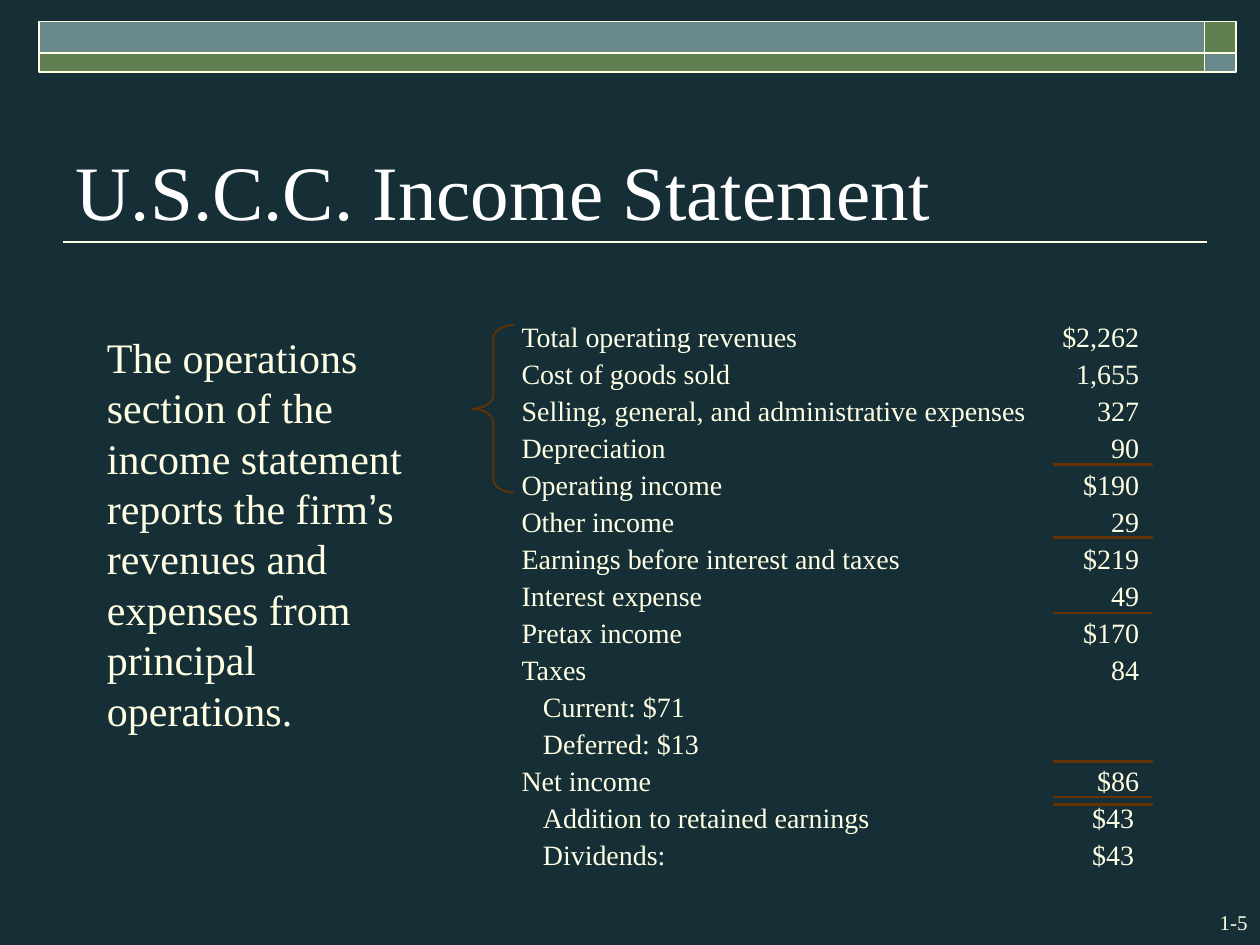
from dataclasses import dataclass

from lxml.etree import SubElement
from pptx import Presentation
from pptx.dml.color import RGBColor
from pptx.enum.shapes import MSO_CONNECTOR as CONN, MSO_SHAPE as SHAPE
from pptx.enum.text import MSO_ANCHOR as ANCHOR, PP_ALIGN as ALIGN
from pptx.oxml.ns import qn
from pptx.util import Inches, Pt


@dataclass(frozen=True)
class Theme:
    bg: str = "162E36"
    teal: str = "69888B"
    green: str = "618052"
    cream: str = "FFFFE3"
    white: str = "FFFFFF"
    brown: str = "663300"
    black: str = "000000"
    font: str = "Times New Roman"
    quote_font: str = "Arial"
    title: int = 44
    body: int = 24
    row: int = 16
    number: int = 12


THEME = Theme()

# Label, amount, indented
ROWS = [
    ("Total operating revenues", "$2,262", False),
    ("Cost of goods sold", "1,655", False),
    ("Selling, general, and administrative expenses", "327", False),
    ("Depreciation", "90", False),
    ("Operating income", "$190", False),
    ("Other income", "29", False),
    ("Earnings before interest and taxes", "$219", False),
    ("Interest expense", "49", False),
    ("Pretax income", "$170", False),
    ("Taxes", "84", False),
    ("Current: $71", "", True),
    ("Deferred: $13", "", True),
    ("Net income", "$86", False),
    ("Addition to retained earnings", "$43", True),
    ("Dividends:", "$43", True),
]
ROW_TOP, ROW_STEP, ROW_HEIGHT = 2.54, 4.11 / 14, 0.27
LABEL_LEFT, AMOUNT_RIGHT, INDENT = 4.14, 9.04, 0.17
RULE_TOPS = [3.68, 4.26, 4.86, 6.04, 6.32, 6.38]


def rgb(value):
    return RGBColor.from_string(value)


def add_text(slide, text, left, top, width, height, *, size, color=THEME.cream,
             align=ALIGN.LEFT, anchor=ANCHOR.TOP, inset=(0, 0), before=0):
    """Add a text box; text is a string or a list of (text, font) runs."""
    sp = slide.shapes.add_textbox(Inches(left), Inches(top), Inches(width), Inches(height))
    tf = sp.text_frame
    tf.word_wrap = True
    tf.vertical_anchor = anchor
    tf.margin_left = tf.margin_right = Inches(inset[0])
    tf.margin_top = tf.margin_bottom = Inches(inset[1])
    p = tf.paragraphs[0]
    p.alignment = align
    p.space_before = Pt(before)
    for part, font in [(text, THEME.font)] if isinstance(text, str) else text:
        r = p.add_run()
        r.text = part
        r.font.name = font
        r.font.size = Pt(size)
        r.font.color.rgb = rgb(color)
    return sp


def add_shape(slide, kind, left, top, width, height, *, fill, line, weight=1):
    sp = slide.shapes.add_shape(kind, Inches(left), Inches(top), Inches(width), Inches(height))
    sp.shadow.inherit = False
    if fill:
        sp.fill.solid()
        sp.fill.fore_color.rgb = rgb(fill)
    else:
        sp.fill.background()
    sp.line.color.rgb = rgb(line)
    sp.line.width = Pt(weight)
    return sp


def add_line(slide, x1, y1, x2, y2, *, color, weight=1):
    line = slide.shapes.add_connector(CONN.STRAIGHT, Inches(x1), Inches(y1),
                                      Inches(x2), Inches(y2))
    line.line.color.rgb = rgb(color)
    line.line.width = Pt(weight)
    SubElement(line._element.spPr, qn("a:effectLst"))
    return line


def add_banner(slide):
    columns = [(0.31, 9.25), (9.56, 0.25)]
    bands = [(0.17, 0.25), (0.42, 0.15)]
    fills = [THEME.teal, THEME.green]
    for i, (top, height) in enumerate(bands):
        for j, (left, width) in enumerate(columns):
            add_shape(slide, SHAPE.RECTANGLE, left, top, width, height,
                      fill=fills[(i + j) % 2], line=THEME.cream)


def add_statement(slide):
    for i, (label, amount, indented) in enumerate(ROWS):
        top = ROW_TOP + i * ROW_STEP
        left = LABEL_LEFT + (INDENT if indented else 0)
        add_text(slide, label, left, top, 4.1, ROW_HEIGHT, size=THEME.row)
        if amount:
            right = AMOUNT_RIGHT - (0.04 if indented else 0)
            add_text(slide, amount, right - 0.7, top, 0.7, ROW_HEIGHT,
                     size=THEME.row, align=ALIGN.RIGHT)
    # Subtotal rules, doubled under net income
    for top in RULE_TOPS:
        add_shape(slide, SHAPE.RECTANGLE, 8.36, top, 0.79, 0.01,
                  fill=THEME.black, line=THEME.brown, weight=0.75)


def main():
    prs = Presentation()
    prs.slide_width, prs.slide_height = Inches(10), Inches(7.5)
    slide = prs.slides.add_slide(prs.slide_layouts[6])
    slide.background.fill.solid()
    slide.background.fill.fore_color.rgb = rgb(THEME.bg)

    # Header and slide number
    add_banner(slide)
    add_line(slide, 0.5, 1.92, 9.58, 1.92, color=THEME.cream)
    add_text(slide, "U.S.C.C. Income Statement", 0.5, 0.67, 9.15, 1.25, size=THEME.title,
             color=THEME.white, anchor=ANCHOR.BOTTOM, inset=(0.1, 0.05))
    add_text(slide, "1-5", 9.17, 7.17, 0.83, 0.3, size=THEME.number,
             align=ALIGN.RIGHT, inset=(0.1, 0.05))

    # Explanation and the brace around the operations section
    add_text(slide, [("The operations section of the income statement reports the firm", THEME.font),
                     ("’", THEME.quote_font),
                     ("s revenues and expenses from principal operations.", THEME.font)],
             0.75, 2.58, 2.75, 3.3, size=THEME.body, inset=(0.1, 0.05), before=15)
    brace = add_shape(slide, SHAPE.LEFT_BRACE, 3.75, 2.58, 0.33, 1.33,
                      fill=None, line=THEME.brown)
    brace.adjustments[0] = 0.33

    add_statement(slide)
    prs.save("out.pptx")


if __name__ == "__main__":
    main()
